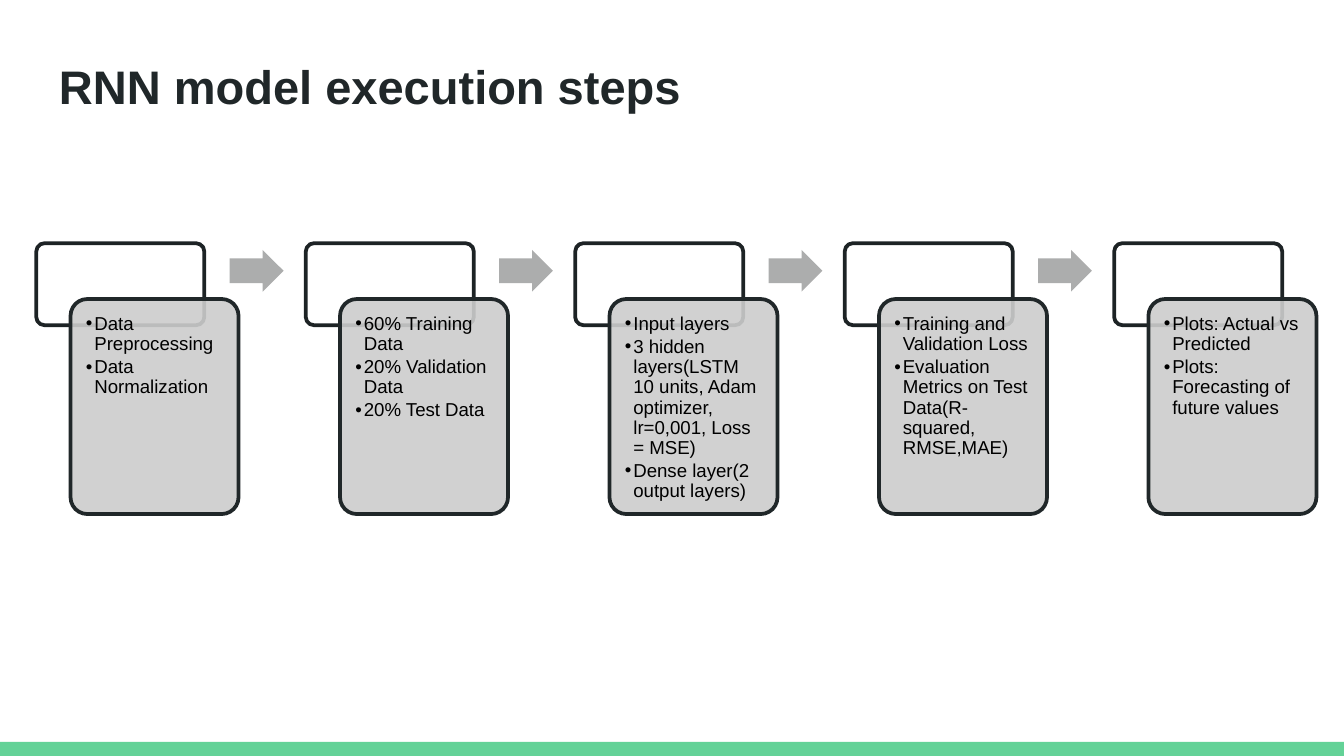
import pptx
import pptx.util
from pptx.dml.color import RGBColor
from pptx.enum.shapes import MSO_SHAPE
from pptx.enum.text import MSO_ANCHOR, PP_ALIGN
from pptx.oxml import parse_xml
from pptx.oxml.ns import nsdecls
from pptx.util import Inches

WIDTH = 10
HEIGHT = WIDTH * 9 / 16
BAR_TOP = 5.52

GREEN = RGBColor(0x63, 0xD2, 0x97)
DARK = RGBColor(0x20, 0x27, 0x29)
OUTLINE = RGBColor(0x1D, 0x23, 0x25)
WHITE = RGBColor(0xFF, 0xFF, 0xFF)
CARD_GRAY = RGBColor(0xCD, 0xCD, 0xCD)
ARROW_GRAY = RGBColor(0xAC, 0xAD, 0xAD)
BLACK = RGBColor(0x00, 0x00, 0x00)

TITLE_FONT = {"name": "Arial", "size": pptx.util.Pt(25.2), "bold": True}
STEP_FONT = {"name": "Arial", "size": pptx.util.Pt(10)}
STEP_PARAGRAPH = {"level": 1, "alignment": PP_ALIGN.LEFT, "line_spacing": 0.9,
                  "space_after": pptx.util.Pt(1.5)}
BULLET_INDENT = pptx.util.Pt(4.5)

STEPS = [
    ["Data Preprocessing", "Data Normalization"],
    ["60% Training Data", "20% Validation Data", "20% Test Data"],
    ["Input layers",
     "3 hidden layers(LSTM 10 units, Adam optimizer, lr=0,001, Loss = MSE)",
     "Dense layer(2 output layers)"],
    ["Training and Validation Loss",
     "Evaluation Metrics on Test Data(R-squared, RMSE,MAE)"],
    ["Plots: Actual vs Predicted", "Plots: Forecasting of future values"],
]
FIRST_LEFT, LAST_LEFT = 0.27, 8.29
PITCH = (LAST_LEFT - FIRST_LEFT) / (len(STEPS) - 1)
ROW_TOP = 1.81

# Left and top from the grid cell's corner, then width and height
HEADER_BOX = (0, 0, 1.25, 0.61)
ARROW_BOX = (1.44, 0.05, 0.4, 0.31)
CARD_WIDTH, CARD_HEIGHT = 1.25, 1.6
TEXT_BOX = (0.29, 0.45, 1.18, 1.53)
CARD_PADDING = (CARD_WIDTH - TEXT_BOX[2]) / 2
CARD_BOX = (TEXT_BOX[0] - CARD_PADDING, TEXT_BOX[1] - CARD_PADDING,
            CARD_WIDTH, CARD_HEIGHT)


def set_all(target, values):
    for name, value in values.items():
        setattr(target, name, value)


def in_column(column, box):
    """Move a box from its grid cell to its place on the slide."""
    left, top, width, height = box
    return FIRST_LEFT + column * PITCH + left, ROW_TOP + top, width, height


def add_block(s, kind, box, fill, line=None, adjustments=()):
    sp = s.shapes.add_shape(kind, *map(Inches, box))
    sp.shadow.inherit = False
    sp.fill.solid()
    sp.fill.fore_color.rgb = fill
    if line is None:
        sp.line.fill.background()
    else:
        sp.line.color.rgb = line
        sp.line.width = pptx.util.Pt(2)
    for i, value in enumerate(adjustments):
        sp.adjustments[i] = value
    return sp


def set_opacity(sp, percent):
    color = sp.fill._xPr.solidFill.srgbClr
    color.append(parse_xml(f'<a:alpha {nsdecls("a")} val="{percent * 1000}"/>'))


def add_text_frame(s, box, inset):
    tf = s.shapes.add_textbox(*map(Inches, box)).text_frame
    margins = ("margin_left", "margin_top", "margin_right", "margin_bottom")
    set_all(tf, dict.fromkeys(margins, Inches(inset)))
    set_all(tf, {"word_wrap": True, "vertical_anchor": MSO_ANCHOR.TOP})
    return tf


def add_run(p, text, font, color):
    r = p.add_run()
    r.text = text
    set_all(r.font, font)
    r.font.color.rgb = color


def add_bullet(p):
    """Give the paragraph a black bullet with a hanging indent."""
    pPr = p._p.get_or_add_pPr()
    pPr.set("marL", str(BULLET_INDENT))
    pPr.set("indent", str(-BULLET_INDENT))
    ns = nsdecls("a")
    for xml in (f'<a:buClr {ns}><a:srgbClr val="{BLACK}"/></a:buClr>',
                f'<a:buFont {ns} typeface="Arial"/>',
                f'<a:buChar {ns} char="•"/>'):
        pPr.append(parse_xml(xml))


def add_title(s, text):
    tf = add_text_frame(s, (0.34, 0.33, 5.05, 0.63), 0.1)
    add_run(tf.paragraphs[0], text, TITLE_FONT, DARK)


def add_bullet_list(s, box, items):
    tf = add_text_frame(s, box, 0.08)
    for i, item in enumerate(items):
        p = tf.add_paragraph() if i else tf.paragraphs[0]
        set_all(p, STEP_PARAGRAPH)
        add_bullet(p)
        add_run(p, item, STEP_FONT, BLACK)


def add_step(s, column, items):
    add_block(s, MSO_SHAPE.ROUNDED_RECTANGLE, in_column(column, HEADER_BOX),
              WHITE, OUTLINE, [0.1])
    card = add_block(s, MSO_SHAPE.ROUNDED_RECTANGLE,
                     in_column(column, CARD_BOX), CARD_GRAY, DARK, [0.1])
    set_opacity(card, 90)
    add_bullet_list(s, in_column(column, TEXT_BOX), items)
    if column < len(STEPS) - 1:
        add_block(s, MSO_SHAPE.RIGHT_ARROW, in_column(column, ARROW_BOX),
                  ARROW_GRAY, adjustments=[0.6, 0.5])


def main():
    prs = pptx.Presentation()
    prs.slide_width, prs.slide_height = Inches(WIDTH), Inches(HEIGHT)
    s = prs.slides.add_slide(prs.slide_layouts[6])
    add_block(s, MSO_SHAPE.RECTANGLE,
              (0, BAR_TOP, WIDTH, HEIGHT - BAR_TOP), GREEN)
    add_title(s, "RNN model execution steps")
    for column, items in enumerate(STEPS):
        add_step(s, column, items)
    prs.save("out.pptx")


if __name__ == "__main__":
    main()
